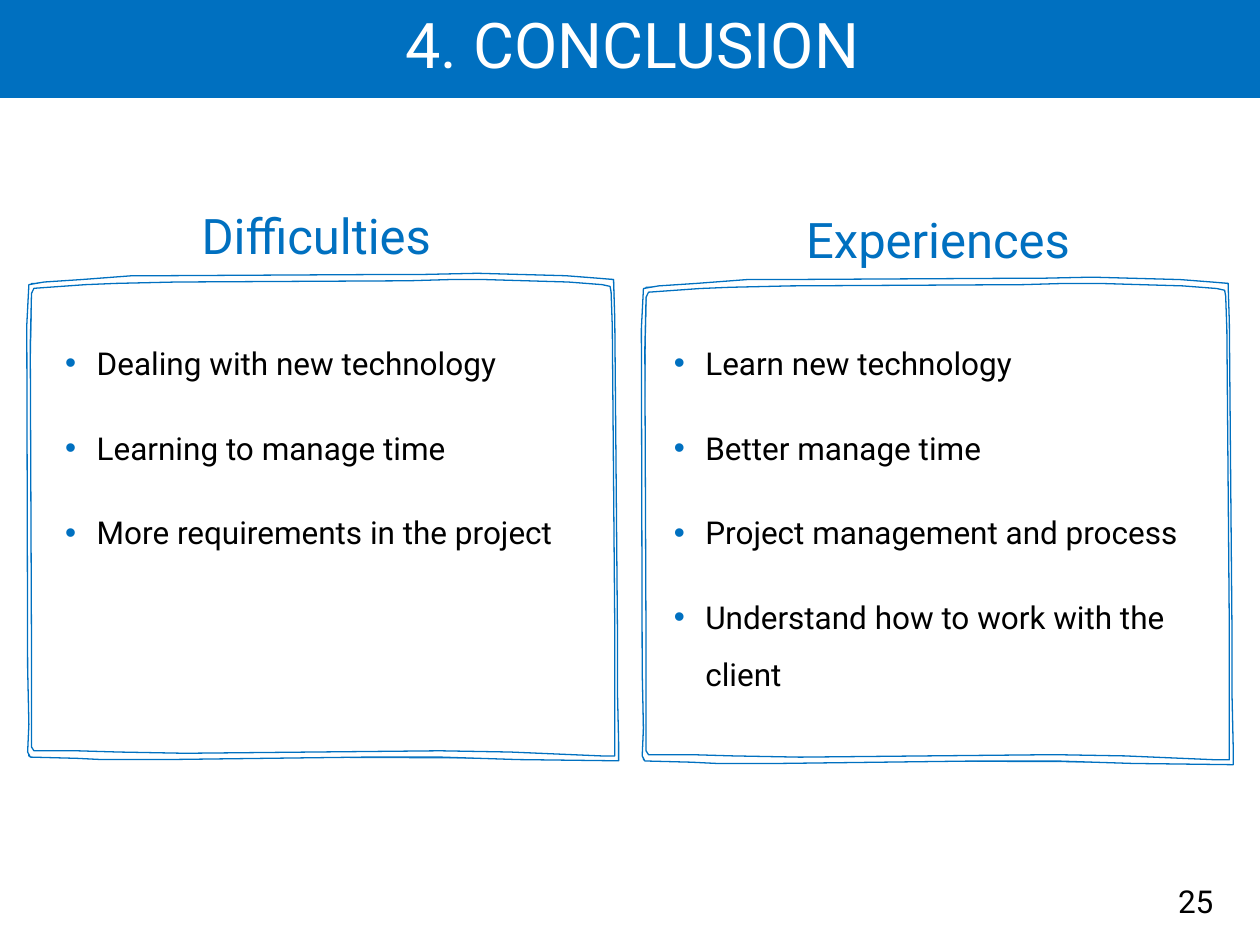
from pptx import Presentation
from pptx.dml.color import RGBColor
from pptx.enum.shapes import MSO_SHAPE
from pptx.enum.text import MSO_ANCHOR, PP_ALIGN
from pptx.oxml.ns import qn
from pptx.util import Pt
from lxml.etree import SubElement

BLUE, WHITE, BLACK = "0070C0", "FFFFFF", "000000"

# Hand-drawn frame, in points from the frame's top left corner
PANEL = [(337, 277.2), (1.4, 275.8), (1.4, 100), (2.9, 5.8), (168.5, 2.9), (335.5, 3.6)]
OUTER_EDGE = [
    (335.5, 3.6), (336.2, 25.9), (337.7, 200.9), (337.7, 237.6), (338.4, 268.6),
    (338.4, 278.6), (280.8, 277.9), (236.9, 276.5), (193.7, 276.5), (79.2, 277.9),
    (43.2, 277.9), (28.8, 277.2), (2.2, 276.5), (0.7, 273.6), (1.4, 257.8),
    (0.7, 225.4), (0.2, 29.5), (1.4, 6.5), (10.1, 5), (31.7, 3.6), (60.5, 1.4),
    (75.6, 1.4), (206.6, 0.7), (226.1, 0.7), (257.8, 0), (308.2, 1.4), (327.6, 2.9),
]
INNER_EDGE = [
    (336.2, 275.8), (336.2, 203), (334.8, 30.2), (334.1, 10.8), (333.5, 7.5),
    (329, 6.5), (309.6, 5), (261.4, 3.6), (242.6, 3.6), (218.2, 4.3), (85.7, 5),
    (51.1, 5.8), (33.8, 6.5), (4.3, 8.6), (2.9, 11.5), (2.2, 41), (2.9, 215.3),
    (2.9, 270.7), (4.3, 272.9), (28.8, 272.9), (52.6, 273.6), (90.7, 274.3),
    (236.2, 272.9), (276.5, 273.6), (328.3, 275.8),
]


def color(hex_string):
    return RGBColor.from_string(hex_string)


class SlideBuilder:
    """Holds the current slide and its text style."""

    font_name = "Roboto"

    def __init__(self, slide):
        self.slide = slide

    def paint(self, shape, fill, line, line_width):
        shape.shadow.inherit = False
        shape.fill.solid()
        shape.fill.fore_color.rgb = color(fill)
        shape.line.color.rgb = color(line)
        shape.line.width = Pt(line_width)

    def banner(self, left, top, width, height):
        shape = self.slide.shapes.add_shape(
            MSO_SHAPE.RECTANGLE, Pt(left), Pt(top), Pt(width), Pt(height))
        self.paint(shape, BLUE, BLUE, 1)

    def text(self, lines, left, top, width, height, size, font_color,
             alignment=PP_ALIGN.LEFT, anchor=MSO_ANCHOR.TOP, line_spacing=None, space_before=None):
        """Adds a text box with one paragraph per line and returns its paragraphs."""
        box = self.slide.shapes.add_textbox(Pt(left), Pt(top), Pt(width), Pt(height))
        frame = box.text_frame
        frame.word_wrap = True
        frame.vertical_anchor = anchor
        frame.text = "\n".join(lines)
        for paragraph in frame.paragraphs:
            paragraph.alignment = alignment
            paragraph.line_spacing = line_spacing
            if space_before is not None:
                paragraph.space_before = Pt(space_before)
            for run in paragraph.runs:
                run.font.name = self.font_name
                run.font.size = Pt(size)
                run.font.color.rgb = color(font_color)
        return frame.paragraphs

    def heading(self, text, left, top, width, height, size, font_color, anchor=MSO_ANCHOR.TOP):
        self.text([text], left, top, width, height, size, font_color,
                  PP_ALIGN.CENTER, anchor, line_spacing=0.9, space_before=10)

    def bullets(self, lines, left, top, width, height):
        paragraphs = self.text(lines, left, top, width, height, 18, BLACK,
                               line_spacing=1.5, space_before=10)
        for paragraph in paragraphs:
            paragraph.space_after = Pt(6)
            properties = paragraph._p.get_or_add_pPr()
            properties.set("marL", str(Pt(18)))
            properties.set("indent", str(Pt(-18)))
            bullet_color = SubElement(properties, qn("a:buClr"))
            SubElement(bullet_color, qn("a:srgbClr")).set("val", BLUE)
            SubElement(properties, qn("a:buFont")).set("typeface", "Arial")
            SubElement(properties, qn("a:buChar")).set("char", "•")

    def sketched_frame(self, left, top):
        group = self.slide.shapes.add_group_shape()
        for contours in ([PANEL], [OUTER_EDGE, INNER_EDGE]):
            placed = [[(Pt(left + x), Pt(top + y)) for x, y in contour] for contour in contours]
            builder = group.shapes.build_freeform(*placed[0][0], scale=1)
            builder.add_line_segments(placed[0][1:], close=True)
            for contour in placed[1:]:
                builder.move_to(*contour[0])
                builder.add_line_segments(contour[1:], close=True)
            self.paint(builder.convert_to_shape(), WHITE, BLUE, 0.75)


def main():
    presentation = Presentation()
    presentation.slide_width, presentation.slide_height = Pt(720), Pt(540)
    builder = SlideBuilder(presentation.slides.add_slide(presentation.slide_layouts[6]))

    builder.banner(0, -0.7, 720, 56)
    builder.heading("4. CONCLUSION", 21.6, 0, 679.7, 55.4, 36, WHITE, MSO_ANCHOR.MIDDLE)
    builder.text(["25"], 508.3, 500.4, 192.2, 28.8, 18, BLACK, PP_ALIGN.RIGHT, MSO_ANCHOR.MIDDLE)

    builder.sketched_frame(15.1, 156.2)
    builder.heading("Difficulties", 13.7, 117.4, 334.1, 36.7, 28, BLUE)
    builder.bullets(["Dealing with new technology", "Learning to manage time",
                     "More requirements in the project"], 30.2, 182.2, 308.2, 208.8)

    builder.sketched_frame(366.3, 158.4)
    builder.heading("Experiences", 370.8, 120.2, 330.5, 36.7, 28, BLUE)
    builder.bullets(["Learn new technology", "Better manage time", "Project management and process",
                     "Understand how to work with the client"], 378, 182.2, 326.2, 223.2)

    presentation.save("out.pptx")


if __name__ == "__main__":
    main()
